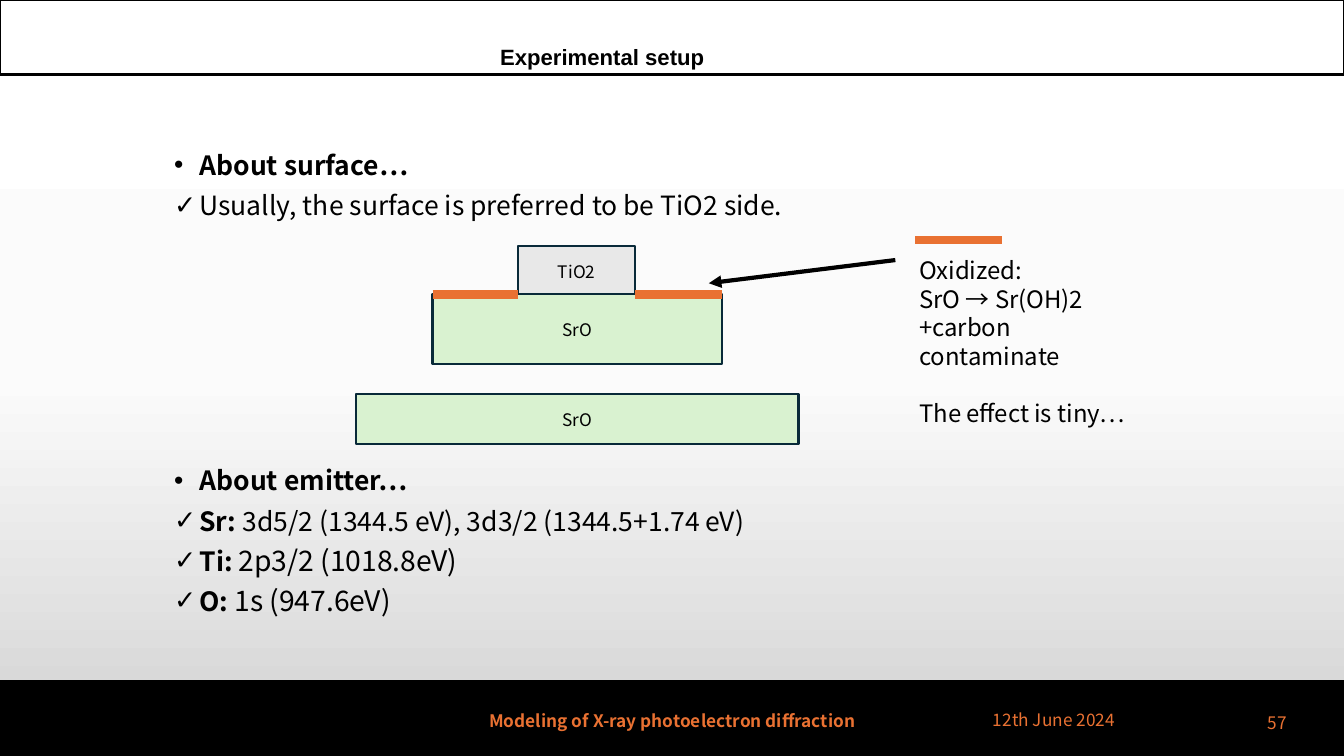
from dataclasses import dataclass

from lxml import etree
from pptx import Presentation
from pptx.dml.color import RGBColor
from pptx.enum.shapes import MSO_CONNECTOR, MSO_SHAPE
from pptx.enum.text import MSO_ANCHOR, MSO_AUTO_SIZE, PP_ALIGN
from pptx.oxml import parse_xml
from pptx.oxml.ns import nsdecls, qn
from pptx.util import Emu, Pt

RECT, STRAIGHT = MSO_SHAPE.RECTANGLE, MSO_CONNECTOR.STRAIGHT
TOP, MIDDLE = MSO_ANCHOR.TOP, MSO_ANCHOR.MIDDLE
LEFT, CENTER, RIGHT = PP_ALIGN.LEFT, PP_ALIGN.CENTER, PP_ALIGN.RIGHT
NO_AUTOFIT = MSO_AUTO_SIZE.NONE

PX = 9144  # 100 px to the inch
WIDTH, HEIGHT, BAND = 1333, 750, 74
SANS, TITLE_FONT = "Noto Sans CJK JP", "Arial"
BLACK, WHITE, ORANGE = "000000", "FFFFFF", "E97132"
GREY, GREEN, EDGE = "E8E8E8", "D9F2D0", "092A39"
SMALL, NOTE, BODY, BODY_LARGE = 12.3, 17.1, 18.9, 20.2


@dataclass
class Block:
    x: int
    y: int
    w: int
    h: int
    fill: str
    edge: str
    label: str = ""


@dataclass
class Line:
    x1: int
    y1: int
    x2: int
    y2: int
    color: str
    width: float
    arrow: bool = False


@dataclass
class Label:
    text: str
    x: int
    y: int
    w: int
    align: PP_ALIGN
    bold: bool = False


@dataclass
class Item:
    bullet: str
    lead: str
    rest: str = ""
    size: float = BODY
    before: float = 10


def px(n: int) -> Emu:
    return Emu(n * PX)


def rgb(color: str) -> RGBColor:
    return RGBColor.from_string(color)


def add_text(p, text, *, size=SMALL, color=BLACK, bold=False, font=SANS):
    r = p.add_run()
    r.text = text
    r.font.size, r.font.bold, r.font.name = Pt(size), bold, font
    r.font.color.rgb = rgb(color)
    etree.SubElement(r.font._element, qn("a:ea")).set("typeface", font)


def add_bullet(p, char: str) -> None:
    p_pr = p._p.get_or_add_pPr()
    p_pr.set("marL", "228600")
    p_pr.set("indent", "-228600")
    etree.SubElement(p_pr, qn("a:buFont")).set("typeface", TITLE_FONT)
    etree.SubElement(p_pr, qn("a:buChar")).set("char", char)


def add_box(s, x: int, y: int, w: int, h: int, anchor=TOP):
    tf = s.shapes.add_textbox(px(x), px(y), px(w), px(h)).text_frame
    tf.word_wrap, tf.vertical_anchor = True, anchor
    return tf


def add_paragraph(tf, i: int):
    return tf.add_paragraph() if i else tf.paragraphs[0]


def add_block(s, b: Block) -> None:
    sp = s.shapes.add_shape(RECT, px(b.x), px(b.y), px(b.w), px(b.h))
    sp.shadow.inherit = False
    sp.fill.solid()
    sp.fill.fore_color.rgb = rgb(b.fill)
    sp.line.color.rgb, sp.line.width = rgb(b.edge), Pt(1.5)
    if b.label:
        sp.text_frame.vertical_anchor = MIDDLE
        p = sp.text_frame.paragraphs[0]
        p.alignment = CENTER
        add_text(p, b.label)


def add_line(s, ln: Line) -> None:
    c = s.shapes.add_connector(STRAIGHT, px(ln.x1), px(ln.y1), px(ln.x2), px(ln.y2))
    c.line.color.rgb, c.line.width = rgb(ln.color), Pt(ln.width)
    if ln.arrow:
        etree.SubElement(c.line._get_or_add_ln(), qn("a:tailEnd")).set("type", "triangle")
    etree.SubElement(c._element.spPr, qn("a:effectLst"))


def set_background(s, stops: dict[int, str]) -> None:
    gs = "".join(f'<a:gs pos="{pos * 1000}"><a:srgbClr val="{color}"/></a:gs>'
                 for pos, color in stops.items())
    s._element.cSld.insert(0, parse_xml(
        f'<p:bg {nsdecls("p", "a")}><p:bgPr><a:gradFill><a:gsLst>{gs}</a:gsLst>'
        '<a:lin ang="5400000" scaled="0"/></a:gradFill><a:effectLst/></p:bgPr></p:bg>'))


def set_title(s, text: str) -> None:
    title = s.shapes.title
    s.shapes._spTree.append(title._element)  # bring in front of the header band
    title.left, title.top, title.width, title.height = px(486), px(36), px(594), px(41)
    tf = title.text_frame
    tf.auto_size, tf.vertical_anchor, tf.word_wrap = NO_AUTOFIT, MIDDLE, True
    p = tf.paragraphs[0]
    p.alignment = LEFT
    add_text(p, text, size=15.8, bold=True, font=TITLE_FONT)


BANDS = [Block(0, 0, WIDTH, BAND, WHITE, BLACK),
         Block(0, HEIGHT - BAND, WIDTH, BAND, BLACK, BLACK)]
LAYERS = [Block(514, 244, 116, 50, GREY, EDGE, "TiO2"),
          Block(429, 292, 287, 69, GREEN, EDGE, "SrO"),
          Block(353, 391, 439, 50, GREEN, EDGE, "SrO")]
LINES = [Line(888, 258, 703, 281, BLACK, 3, arrow=True),
         Line(429, 292, 514, 292, ORANGE, 6),
         Line(630, 292, 716, 292, ORANGE, 6),
         Line(908, 238, 994, 238, ORANGE, 6)]
ITEMS = [Item("•", "About surface…", before=0),
         Item("✓", "", "Usually, the surface is preferred to be TiO2 side."),
         Item("•", "About emitter…", before=178),
         Item("✓", "Sr: ", "3d5/2 (1344.5 eV), 3d3/2 (1344.5+1.74 eV)"),
         Item("✓", "Ti: ", "2p3/2 (1018.8eV)", BODY_LARGE),
         Item("✓", "O: ", "1s (947.6eV)", BODY_LARGE)]
NOTES = [("Oxidized:", 0), ("SrO → Sr(OH)2", 0), ("+carbon contaminate", 0),
         ("The effect is tiny…", 20.4)]
FOOTER = [Label("Modeling of X-ray photoelectron diffraction", 442, 695, 450, CENTER, True),
          Label("12th June 2024", 975, 694, 183, LEFT),
          Label("57", 1242, 697, 44, RIGHT)]


def main() -> None:
    prs = Presentation()
    prs.slide_width, prs.slide_height = px(WIDTH), px(HEIGHT)
    s = prs.slides.add_slide(prs.slide_layouts[5])
    set_background(s, {0: WHITE, 50: "FBFBFB", 100: "D1D1D1"})

    # Header and footer bands
    for band in BANDS:
        add_block(s, band)
    add_line(s, Line(0, BAND, WIDTH, BAND, BLACK, 1.5))
    set_title(s, "Experimental setup")

    # Bulleted text
    tf = add_box(s, 163, 148, 1033, 490)
    for i, item in enumerate(ITEMS):
        p = add_paragraph(tf, i)
        add_bullet(p, item.bullet)
        p.line_spacing, p.space_before = Pt(18.8), Pt(item.before)
        if item.lead:
            add_text(p, item.lead, size=BODY, bold=True)
        if item.rest:
            add_text(p, item.rest, size=item.size)

    # Layer diagram
    for layer in LAYERS:
        add_block(s, layer)
    for line in LINES:
        add_line(s, line)

    # Note on the oxidized layer
    tf = add_box(s, 902, 249, 245, 182)
    for i, (text, before) in enumerate(NOTES):
        p = add_paragraph(tf, i)
        p.line_spacing, p.space_before = Pt(20.4), Pt(before)
        add_text(p, text, size=NOTE)

    # Footer labels
    for label in FOOTER:
        p = add_box(s, label.x, label.y, label.w, 40, MIDDLE).paragraphs[0]
        p.alignment = label.align
        add_text(p, label.text, color=ORANGE, bold=label.bold)

    prs.save("out.pptx")


if __name__ == "__main__":
    main()
